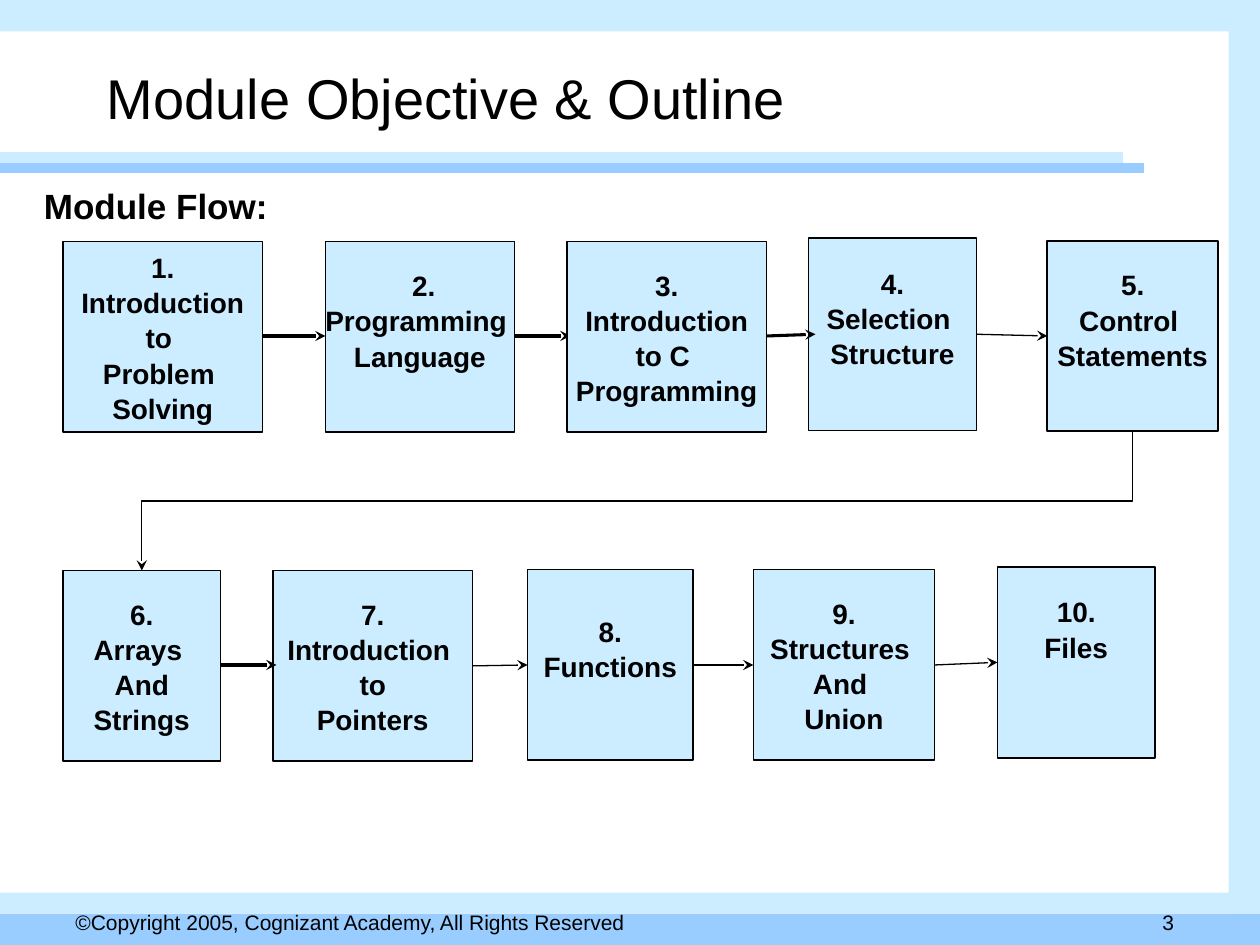
from pptx import Presentation
from pptx.dml.color import RGBColor
from pptx.enum.shapes import MSO_CONNECTOR, MSO_SHAPE
from pptx.enum.text import MSO_ANCHOR, PP_ALIGN
from pptx.oxml.ns import qn
from pptx.util import Pt
from lxml.etree import SubElement

PALE, BLUE, BLACK = "CCECFF", "99CCFF", "000000"
STEP = 19.3
BOXES = {
    1: (36, 138, 114, 109, 0, "1.\nIntroduction\nto \nProblem \nSolving"),
    2: (186, 138, 108, 109, 1, " 2.\nProgramming \nLanguage"),
    3: (324, 138, 114, 109, 0, "3.\nIntroduction\nto C \nProgramming"),
    4: (462, 136, 96, 110, 1, "4.\nSelection \nStructure"),
    5: (598.5, 137.5, 97.5, 109, 1, "5.\nControl \nStatements"),
    6: (36, 326, 90, 109, 0, "6.\nArrays \nAnd\nStrings"),
    7: (156, 326, 114, 109, 0, "7.\nIntroduction \nto\nPointers"),
    8: (301.5, 325.5, 94.5, 109, 1, "8.\nFunctions"),
    9: (430.5, 325.5, 103.5, 109, 0, "9.\nStructures \nAnd \nUnion"),
    10: (570, 324, 90, 109, 2, "10.\nFiles"),
}


def color(code):
    return RGBColor.from_string(code)


class Deck:
    """Holds the style and the slide that each method draws on."""

    def __init__(self, slide, font="Arial"):
        self.shapes = slide.shapes
        self.font = font

    def fill_text(self, shape, text, size, bold=False, align=None, space=None):
        shape.text_frame.text = text
        for para in shape.text_frame.paragraphs:
            para.alignment = align
            para.line_spacing = space
            for run in para.runs:
                run.font.name = self.font
                run.font.size = Pt(size)
                run.font.bold = bold
                run.font.color.rgb = color(BLACK)

    def bar(self, x, y, w, h, fill):
        shape = self.shapes.add_shape(MSO_SHAPE.RECTANGLE, Pt(x), Pt(y), Pt(w), Pt(h))
        shape.shadow.inherit = False
        shape.fill.solid()
        shape.fill.fore_color.rgb = color(fill)
        shape.line.fill.background()
        return shape

    def box(self, x, y, w, h, lift, text):
        shape = self.bar(x, y, w, h, PALE)
        shape.line.color.rgb = color(BLACK)
        shape.line.width = Pt(1)
        frame = shape.text_frame
        frame.word_wrap = False
        frame.vertical_anchor = MSO_ANCHOR.MIDDLE
        frame.margin_bottom = Pt(3.6 + lift * STEP)
        self.fill_text(shape, text, 16, True, PP_ALIGN.CENTER, 1.05)

    def label(self, x, y, w, h, text, size, bold=False, align=None, anchor=MSO_ANCHOR.TOP):
        shape = self.shapes.add_textbox(Pt(x), Pt(y), Pt(w), Pt(h))
        shape.text_frame.word_wrap = True
        shape.text_frame.vertical_anchor = anchor
        self.fill_text(shape, text, size, bold, align)

    def line(self, start, end, width, ink=BLACK, head=True, kind=MSO_CONNECTOR.STRAIGHT):
        link = self.shapes.add_connector(kind, *map(Pt, start + end))
        link.line.color.rgb = color(ink)
        link.line.width = Pt(width)
        props = link._element.spPr
        if head:
            SubElement(props.find(qn("a:ln")), qn("a:tailEnd"), type="stealth")
        SubElement(props, qn("a:effectLst"))
        return props

    def bend(self, start, end, width):
        mid_x, mid_y = (start[0] + end[0]) / 2, (start[1] + end[1]) / 2
        half_w, half_h = (end[1] - start[1]) / 2, (start[0] - end[0]) / 2
        props = self.line((mid_x - half_w, mid_y - half_h), (mid_x + half_w, mid_y + half_h),
                          width, kind=MSO_CONNECTOR.ELBOW)
        props.find(qn("a:xfrm")).set("rot", "5400000")

    def join(self, first, last):
        x, y, w, h = BOXES[first][:4]
        left, top, _, high = BOXES[last][:4]
        self.line((x + w, y + h / 2), (left, top + high / 2), 0.75)


def main():
    show = Presentation()
    show.slide_width, show.slide_height = Pt(720), Pt(540)
    deck = Deck(show.slides.add_slide(show.slide_layouts[6]))

    deck.bar(0, 0, 720, 18, PALE)
    deck.bar(0, 522, 720, 18, BLUE)
    deck.bar(0, 510, 720, 12, PALE)
    deck.label(528, 516, 150, 18, "3", 12, align=PP_ALIGN.RIGHT)
    deck.bar(702, 0, 18, 522, PALE)
    deck.line((0, 90), (642, 90), 6, PALE, False)
    deck.line((0, 96), (654, 96), 6, BLUE, False)
    deck.label(36, 516, 472, 18, "©Copyright 2005, Cognizant Academy, All Rights Reserved", 12)
    deck.label(54, 24, 606, 54, "Module Objective & Outline", 32, anchor=MSO_ANCHOR.BOTTOM)
    deck.label(18, 102, 684, 396, "Module Flow:", 20, True)

    deck.box(*BOXES[4])
    for start, end in (((126, 192), (186, 192)), ((294, 192), (326, 192)),
                       ((438, 192), (466, 191))):
        deck.line(start, end, 1.75)
    for key in (2, 3, 6, 1, 7, 8, 9, 5, 10):
        deck.box(*BOXES[key])
    deck.line((126, 380), (158, 380), 1.75)
    deck.bend((647.25, 246.5), (81, 326), 0.75)
    for first in (4, 7, 8, 9):
        deck.join(first, first + 1)

    show.save("out.pptx")


if __name__ == "__main__":
    main()
